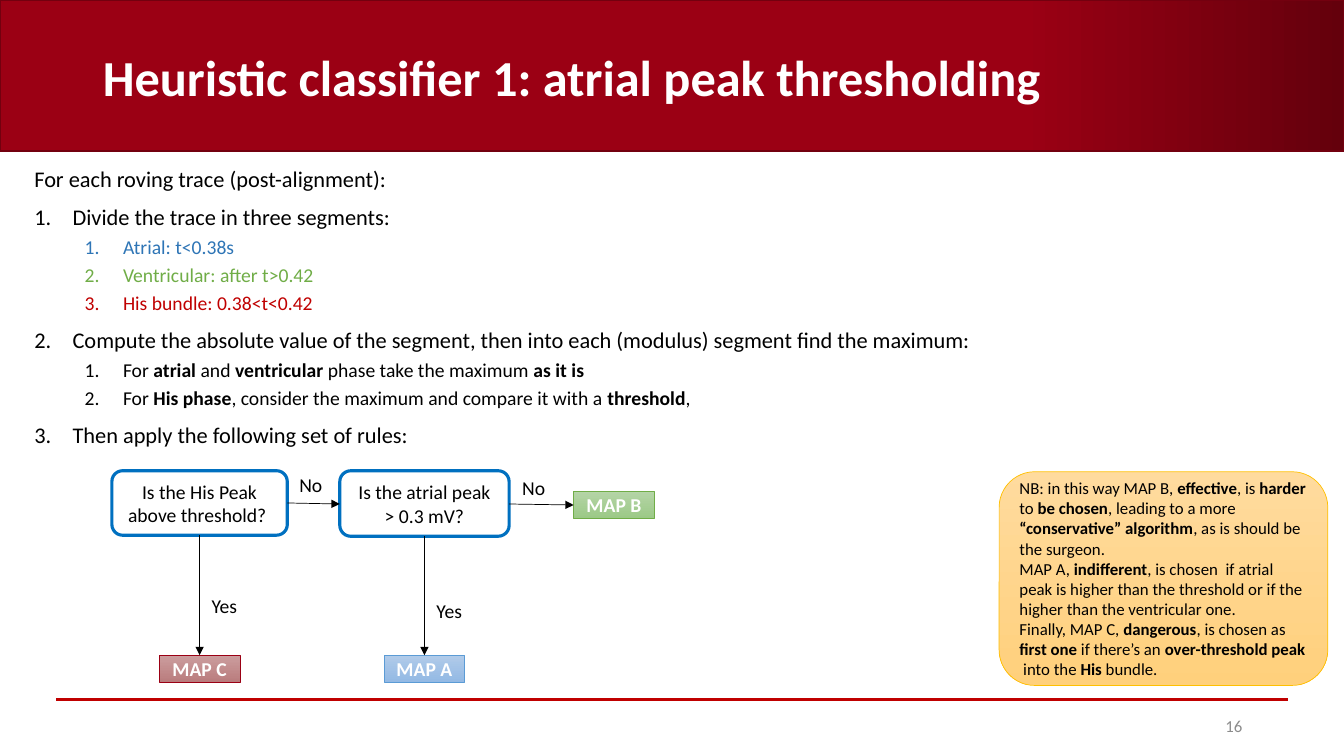
"""Build the slide on the atrial peak thresholding classifier."""
from dataclasses import dataclass
from typing import NamedTuple, Optional

from lxml import etree
from pptx import Presentation
from pptx import util as u
from pptx.dml.color import RGBColor
from pptx.enum import shapes, text
from pptx.oxml.ns import qn

PX = u.Inches(1) // 100


@dataclass(frozen=True)
class Theme:
    font: str = "Calibri"
    ink: str = "000000"
    white: str = "FFFFFF"
    grey: str = "8C8C8C"
    banner: tuple = ("9B0014", "64000C")
    banner_edge: str = "73000F"
    rule: str = "C00000"
    atrial: str = "2E75B6"
    ventricular: str = "70AD47"
    his: str = "C00000"
    question_edge: str = "0070C0"
    note: tuple = ("FFDB9E", "FFD07C")
    note_edge: str = "FFC000"
    title_size: int = 36
    step_size: int = 16
    detail_size: int = 14
    small_size: int = 12


THEME = Theme()


class Box(NamedTuple):
    left: int
    top: int
    width: int
    height: int

    def emu(self) -> list:
        return [side * PX for side in self]


class Step(NamedTuple):
    words: str
    level: int = 0
    numbered: bool = True
    color: str = THEME.ink


class Node(NamedTuple):
    words: str
    box: Box
    edge: str
    fill: Optional[tuple] = None


class Arrow(NamedTuple):
    start: tuple
    end: tuple


class Answer(NamedTuple):
    words: str
    left: int
    top: int


STEPS = [
    Step("For each roving trace (post-alignment):", numbered=False),
    Step("Divide the trace in three segments:"),
    Step("Atrial: t<0.38s", 1, color=THEME.atrial),
    Step("Ventricular: after t>0.42", 1, color=THEME.ventricular),
    Step("His bundle: 0.38<t<0.42", 1, color=THEME.his),
    Step("Compute the absolute value of the segment, then into each (modulus) segment find the maximum:"),
    Step("For *atrial* and *ventricular* phase take the maximum *as it is*", 1),
    Step("For *His phase*, consider the maximum and compare it with a *threshold*,", 1),
    Step("Then apply the following set of rules:"),
]
QUESTIONS = [
    Node("Is the His Peak above threshold? ", Box(111, 467, 174, 64), THEME.question_edge),
    Node("Is the atrial peak > 0.3 mV?", Box(337, 467, 168, 65), THEME.question_edge),
]
MAPS = [
    Node("*MAP C*", Box(158, 650, 80, 27), "9B0014", ("CC9D9E", "B97C7D")),
    Node("*MAP A*", Box(381, 650, 80, 27), "5B9BD5", ("B1CBE9", "93B9E4")),
    Node("*MAP B*", Box(569, 487, 80, 27), "70AD47", ("B5D5A7", "9CC987")),
]
ARROWS = [
    Arrow((198, 531), (198, 650)),
    Arrow((285, 499), (337, 500)),
    Arrow((421, 532), (421, 650)),
    Arrow((505, 500), (569, 501)),
]
ANSWERS = [
    Answer("No", 287, 464),
    Answer("No", 508, 467),
    Answer("Yes", 423, 589),
    Answer("Yes", 200, 584),
]
NOTE = [
    "NB: in this way MAP B, *effective*, is *harder* to *be chosen*, leading to a more "
    "*“conservative” algorithm*, as is should be the surgeon.",
    "MAP A, *indifferent*, is chosen  if atrial peak is higher than the threshold "
    "or if the higher than the ventricular one.",
    "Finally, MAP C, *dangerous*, is chosen as *first one* if there’s an "
    "*over-threshold peak * into the *His* bundle.",
]


def write(paragraph, words: str, size: int, color: str, align=text.PP_ALIGN.LEFT) -> None:
    """Fill a paragraph, with the words between asterisks in bold."""
    paragraph.alignment = align
    paragraph.font.name = THEME.font
    paragraph.font.size = u.Pt(size)
    paragraph.font.color.rgb = RGBColor.from_string(color)
    for index, part in enumerate(words.split("*")):
        if part:
            run = paragraph.add_run()
            run.text = part
            run.font.bold = index % 2 == 1


def write_all(frame, lines: list, size: int, color: str, align=text.PP_ALIGN.LEFT) -> None:
    """Write one paragraph per line into a wrapping, vertically centred frame."""
    frame.word_wrap = True
    frame.vertical_anchor = text.MSO_ANCHOR.MIDDLE
    for index, line in enumerate(lines):
        paragraph = frame.add_paragraph() if index else frame.paragraphs[0]
        write(paragraph, line, size, color, align)


def place(placeholder, box: Box) -> None:
    """Move a placeholder to a box."""
    placeholder.left, placeholder.top, placeholder.width, placeholder.height = box.emu()
    placeholder.text_frame.auto_size = text.MSO_AUTO_SIZE.NONE


def add_panel(slide, kind, box: Box, edge: str, weight: float, fill: Optional[tuple] = None,
              angle: int = 270, first_stop: float = 0):
    """Add an outlined shape with a gradient or no fill."""
    panel = slide.shapes.add_shape(kind, *box.emu())
    panel.shadow.inherit = False
    panel.line.color.rgb = RGBColor.from_string(edge)
    panel.line.width = u.Pt(weight)
    if fill is None:
        panel.fill.background()
        return panel
    panel.fill.gradient()
    panel.fill.gradient_angle = angle
    for stop, color, position in zip(panel.fill.gradient_stops, fill, (first_stop, 1)):
        stop.color.rgb = RGBColor.from_string(color)
        stop.position = position
    return panel


def add_line(slide, line: Arrow, color: str, weight: float, head: bool = True) -> None:
    """Add a straight line, with an arrowhead at its end if wanted."""
    ends = [length * PX for length in line.start + line.end]
    connector = slide.shapes.add_connector(shapes.MSO_CONNECTOR.STRAIGHT, *ends)
    connector.line.color.rgb = RGBColor.from_string(color)
    connector.line.width = u.Pt(weight)
    if head:
        etree.SubElement(connector.line._get_or_add_ln(), qn("a:tailEnd"), type="triangle")
    etree.SubElement(connector._element.spPr, qn("a:effectLst"))


def add_step(paragraph, step: Step) -> None:
    """Format one line of the numbered list."""
    paragraph.level = step.level
    paragraph.line_spacing = 0.9
    paragraph.space_before = u.Pt(5 if step.level else 10)
    properties = paragraph._p.get_or_add_pPr()
    indent = 38 * PX if step.numbered else 0
    properties.set("marL", str(indent + step.level * 50 * PX))
    properties.set("indent", str(-indent))
    if step.numbered:
        etree.SubElement(properties, qn("a:buFont"), typeface="+mj-lt")
        etree.SubElement(properties, qn("a:buAutoNum"), type="arabicPeriod")
    else:
        etree.SubElement(properties, qn("a:buNone"))
    write(paragraph, step.words, THEME.detail_size if step.level else THEME.step_size, step.color)


def main() -> None:
    """Draw the slide and save it."""
    deck = Presentation()
    deck.slide_width, deck.slide_height = 1333 * PX, 750 * PX
    slide = deck.slides.add_slide(deck.slide_layouts[1])
    title, steps = slide.placeholders
    rect, rounded = shapes.MSO_SHAPE.RECTANGLE, shapes.MSO_SHAPE.ROUNDED_RECTANGLE
    center = text.PP_ALIGN.CENTER

    banner = add_panel(slide, rect, Box(0, 0, 1333, 150), THEME.banner_edge, 1, THEME.banner, 0, 0.76)
    slide.shapes._spTree.insert(2, banner._element)
    add_line(slide, Arrow((56, 694), (1277, 694)), THEME.rule, 1.5, head=False)

    place(title, Box(92, 23, 1083, 106))
    write_all(title.text_frame, ["*Heuristic classifier 1: atrial peak thresholding*"],
              THEME.title_size, THEME.white)
    place(steps, Box(24, 162, 1066, 451))
    for index, step in enumerate(STEPS):
        frame = steps.text_frame
        add_step(frame.add_paragraph() if index else frame.paragraphs[0], step)

    for question in QUESTIONS:
        panel = add_panel(slide, rounded, question.box, question.edge, 2.25)
        write_all(panel.text_frame, [question.words], THEME.detail_size, THEME.ink, center)
    for node in MAPS:
        panel = add_panel(slide, rect, node.box, node.edge, 0.5, node.fill)
        write_all(panel.text_frame, [node.words], THEME.detail_size, THEME.white, center)
    for arrow in ARROWS:
        add_line(slide, arrow, THEME.ink, 0.5)
    for answer in ANSWERS:
        label = slide.shapes.add_textbox(*Box(answer.left, answer.top, 55, 34).emu())
        write_all(label.text_frame, [answer.words], THEME.detail_size, THEME.ink)

    note = add_panel(slide, rounded, Box(991, 468, 326, 212), THEME.note_edge, 0.5, THEME.note)
    write_all(note.text_frame, NOTE, THEME.small_size, THEME.ink)
    number = slide.shapes.add_textbox(*Box(942, 700, 300, 40).emu())
    write_all(number.text_frame, ["16"], THEME.small_size, THEME.grey, text.PP_ALIGN.RIGHT)
    deck.save("out.pptx")


if __name__ == "__main__":
    main()
